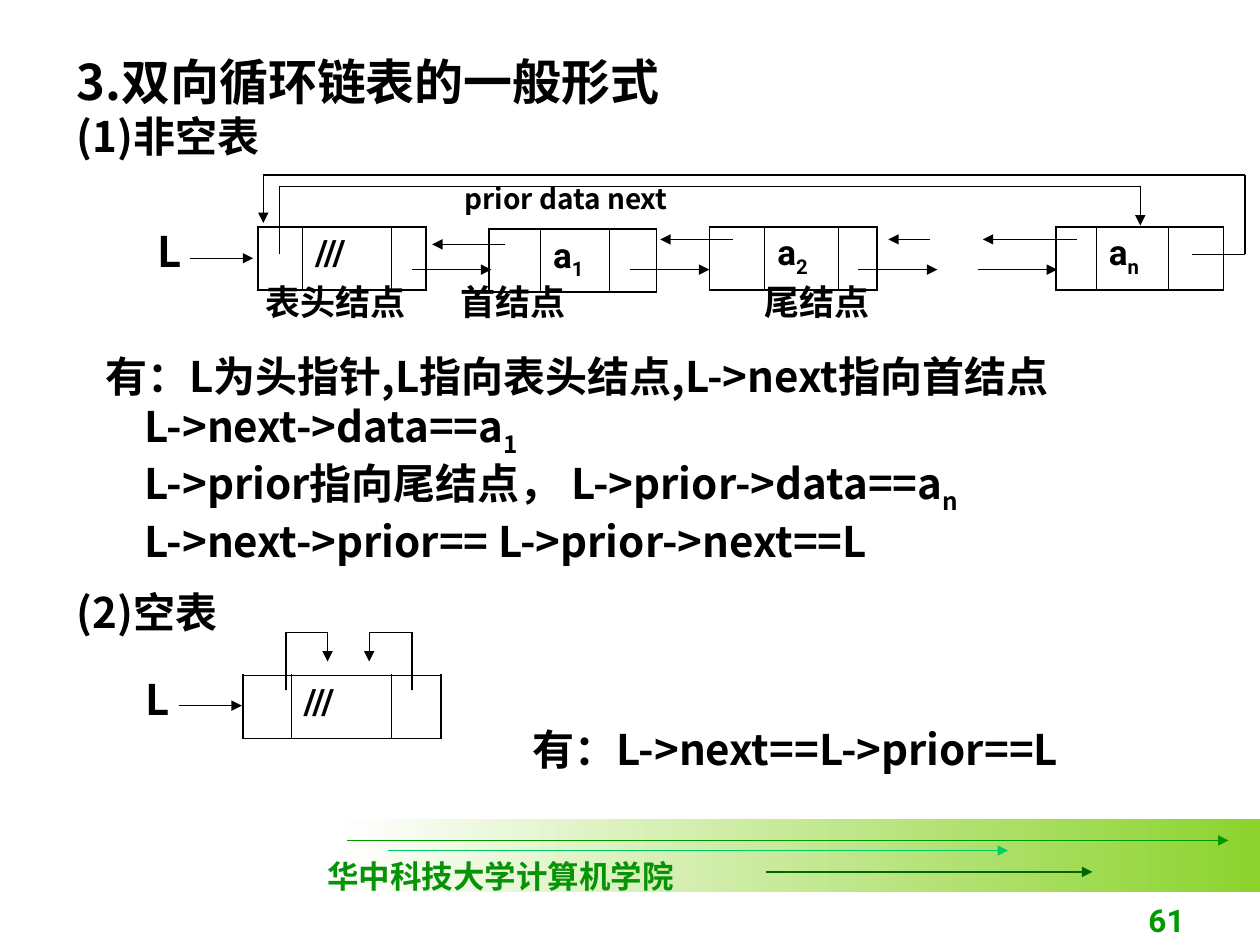
from pptx import Presentation
from pptx.dml.color import RGBColor
from pptx.enum.shapes import MSO_CONNECTOR, MSO_SHAPE
from pptx.enum.text import MSO_ANCHOR, PP_ALIGN
from pptx.oxml.ns import qn
from pptx.util import Inches, Pt
from lxml.etree import SubElement as Sub

COLORS = {"ink": "000000", "white": "FFFFFF", "band": "8CD32D", "green": "009900",
          "mint": "00CC66", "forest": "006600", "school": "069406"}
CJK = "Noto Sans CJK SC"

prs = Presentation()
prs.slide_width, prs.slide_height = Inches(10), Inches(7.5)
slide = prs.slides.add_slide(prs.slide_layouts[6])
shapes = slide.shapes


def add_line(x1, y1, x2, y2, end=None, color="ink"):
    """Draw a thin line; end is headEnd or tailEnd for an arrowhead."""
    line = shapes.add_connector(MSO_CONNECTOR.STRAIGHT, Inches(x1), Inches(y1),
                                Inches(x2), Inches(y2))
    line.line.color.rgb = RGBColor.from_string(COLORS[color])
    line.line.width = Pt(0.75)
    if end:
        Sub(line.line._get_or_add_ln(), qn("a:" + end), type="triangle")
    Sub(line._element.spPr, qn("a:effectLst"))


def write(frame, lines, color="ink", font=CJK):
    """Fill a frame from (text, size, indent, space before); _ starts a subscript."""
    for i, (text, size, indent, before) in enumerate(lines):
        para = frame.paragraphs[0] if i == 0 else frame.add_paragraph()
        if indent:
            para._p.get_or_add_pPr().set("marL", str(Inches(indent)))
            para._p.get_or_add_pPr().set("indent", "0")
        if before:
            para.space_before = Pt(before)
        para.font.size, para.font.bold, para.font.name = Pt(size), True, font
        para.font.color.rgb = RGBColor.from_string(COLORS[color])
        base, _, subscript = text.partition("_")
        for part in filter(None, (base, subscript)):
            run = para.add_run()
            run.text = part
            Sub(run._r.get_or_add_rPr(), qn("a:ea"), typeface=CJK)
        if subscript:
            run._r.get_or_add_rPr().set("baseline", "-25000")


# Footer band and its arrows
band = shapes.add_shape(MSO_SHAPE.RECTANGLE, Inches(2.67), Inches(6.5), Inches(7.33), Inches(0.58))
band.shadow.inherit = False
band.line.fill.background()
band.fill.gradient()
band.fill.gradient_angle = 0
for stop, name, position in zip(band.fill.gradient_stops, ("white", "band"), (0, 1)):
    stop.color.rgb = RGBColor.from_string(COLORS[name])
    stop.position = position
for x1, x2, y, name in ((2.75, 9.75, 6.67, "green"), (3.08, 8, 6.75, "mint"),
                        (6.08, 8.67, 6.92, "forest")):
    add_line(x1, y, x2, y, "tailEnd", name)

school = shapes.add_textbox(Inches(2.5), Inches(6.75), Inches(2.95), Inches(0.4)).text_frame
write(school, [("华中科技大学计算机学院", 18, 0, 0)], "school", "Times New Roman")
number = shapes.add_textbox(Inches(7.42), Inches(7), Inches(2.08), Inches(0.5)).text_frame
number.word_wrap = True
number.vertical_anchor = MSO_ANCHOR.BOTTOM
write(number, [("61", 18, 0, 0)], "green", "Roboto")
number.paragraphs[0].alignment = PP_ALIGN.RIGHT

# List nodes: prior, data and next fields
nodes = [
    (2.05, 1.8, (0.35, 0.71, 0.27), "///"),
    (3.88, 1.82, (0.41, 0.55, 0.37), "a_1"),
    (5.63, 1.8, (0.44, 0.58, 0.31), "a_2"),
    (8.38, 1.8, (0.32, 0.57, 0.44), "a_n"),
    (1.93, 5.36, (0.38, 0.8, 0.39), "///"),
]
for x, y, widths, data in nodes:
    node = shapes.add_table(1, 3, Inches(x), Inches(y), Inches(sum(widths)), Inches(0.5)).table
    node.first_row = node.horz_banding = False
    for col, width in enumerate(widths):
        node.columns[col].width = Inches(width)
        cell = node.cell(0, col)
        cell.margin_top = cell.margin_bottom = Inches(0.05)
        props = cell._tc.get_or_add_tcPr()
        for side in "LRTB":
            inner = (side == "L" and col > 0) or (side == "R" and col < 2)
            border = Sub(props, qn("a:ln" + side), w=str(Pt(0.45 if inner else 1.08)))
            Sub(Sub(border, qn("a:solidFill")), qn("a:srgbClr"), val=COLORS["ink"])
        cell.fill.background()
    write(node.cell(0, 1).text_frame, [(data, 20, 0, 0)], font="Roboto")

# Prior and next arrows between the nodes
for x1, x2, y in ((3.43, 4.01, 1.94), (5.24, 5.82, 1.9), (7.05, 7.38, 1.9), (7.8, 8.55, 1.9)):
    add_line(x1, y, x2, y, "headEnd")
for x in (3.27, 5, 6.81, 7.76):
    add_line(x, 2.14, x + 0.63, 2.14, "tailEnd")

# Head pointers
for x, y in ((1.51, 2.05), (1.42, 5.6)):
    add_line(x, y, x + 0.5, y, "tailEnd")

# Circular links: each route ends in an arrow
routes = [
    [(2.22, 2.02), (2.22, 1.48), (9.05, 1.48), (9.05, 1.79)],
    [(9.46, 2.02), (9.88, 2.02), (9.88, 1.39), (2.09, 1.39), (2.09, 1.77)],
    [(2.27, 5.48), (2.27, 5.02), (2.6, 5.02), (2.6, 5.25)],
    [(3.27, 5.48), (3.27, 5.02), (2.93, 5.02), (2.93, 5.25)],
]
for route in routes:
    for start, stop in zip(route, route[1:]):
        add_line(*start, *stop, "tailEnd" if stop == route[-1] else None)

# Headings, explanations and labels
texts = [
    (0.51, 0.36, 7.56, 0.97, [("3.双向循环链表的一般形式", 28, 0, 0), ("(1)非空表", 24, 0, 0)]),
    (3.59, 1.39, 2.6, 0.37, [("prior data next", 16, 0, 0)]),
    (0.51, 2.73, 8.43, 2.38, [
        ("有：L为头指针,L指向表头结点,L->next指向首结点", 24, 0.23, 0),
        ("L->next->data==a_1", 24, 0.54, 0),
        ("L->prior指向尾结点， L->prior->data==a_n", 24, 0.54, 0),
        ("L->next->prior== L->prior->next==L", 24, 0.54, 0),
        ("(2)空表", 24, 0, 12)]),
    (1.15, 1.74, 0.47, 0.5, [("L", 24, 0, 0)]),
    (1.06, 5.3, 0.47, 0.5, [("L", 24, 0, 0)]),
    (4.13, 5.69, 4.84, 0.5, [("有：L->next==L->prior==L", 24, 0, 0)]),
]
for x, y, width, height, lines in texts:
    frame = shapes.add_textbox(Inches(x), Inches(y), Inches(width), Inches(height)).text_frame
    frame.word_wrap = True
    write(frame, lines)

# Node captions on tab stops
captions = shapes.add_textbox(Inches(2.01), Inches(2.24), Inches(7.8), Inches(0.37)).text_frame
captions.word_wrap = True
caption_line = captions.paragraphs[0]
caption_line.line_spacing = 0.8
tabs = Sub(caption_line._p.get_or_add_pPr(), qn("a:tabLst"))
for stop in (1.55, 3.96):
    Sub(tabs, qn("a:tab"), pos=str(Inches(stop)), algn="l")
write(captions, [("表头结点\t首结点\t尾结点", 20, 0, 0)])

prs.save("out.pptx")
